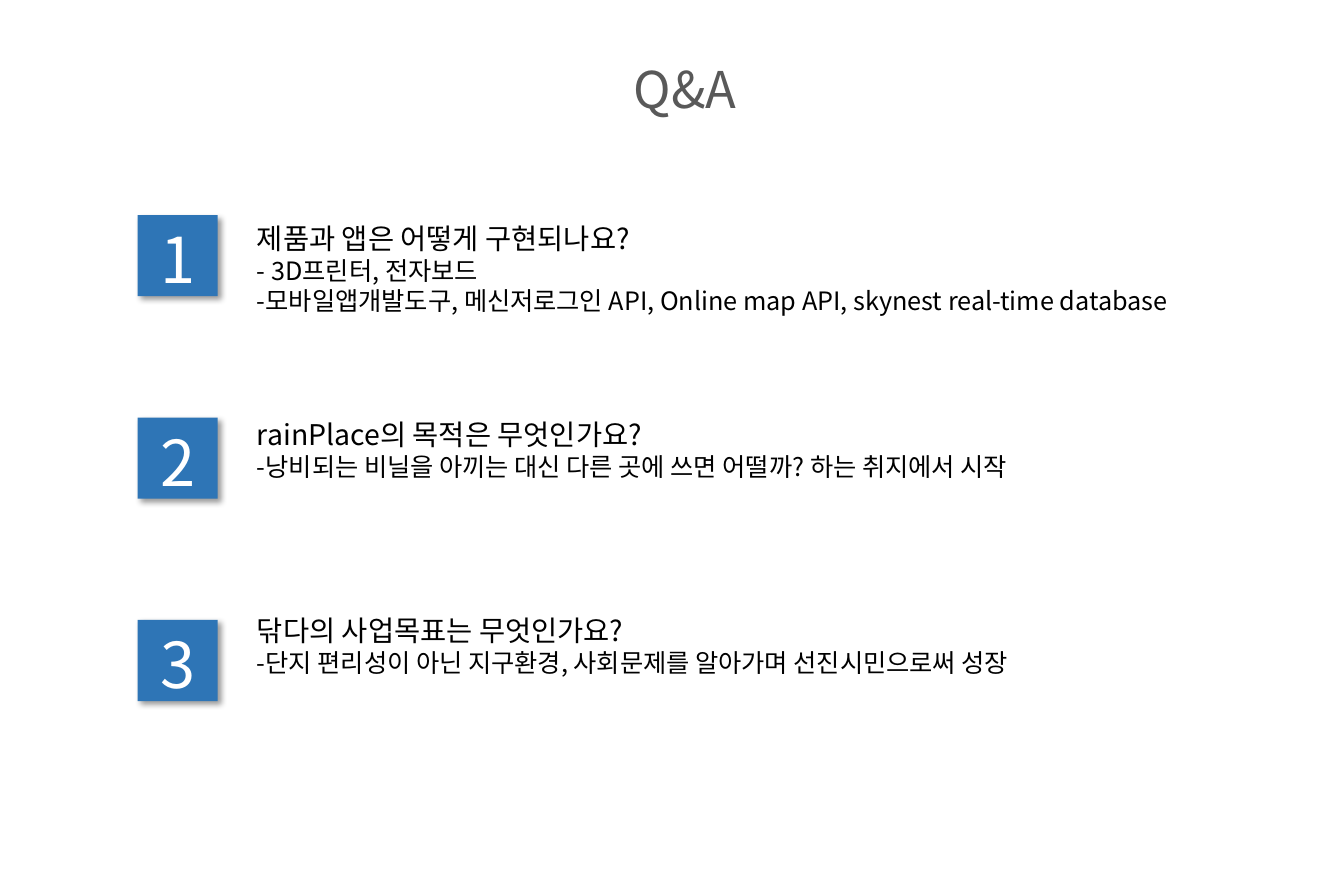
import pptx
import pptx.dml.color
import pptx.enum.shapes
import pptx.enum.text
import pptx.oxml.ns
import pptx.util
import lxml.etree

FONT = "Noto Sans CJK KR"
SLIDE_WIDTH, SLIDE_HEIGHT = 850.4, 566.9
BADGE_LEFT, BADGE_TOP, BADGE_PITCH = 87.1, 136.1, 128.1
ANSWER_LEFT, ANSWER_TOP, ANSWER_PITCH = 155.5, 136.1, 124.2

QUESTIONS = [
    ("제품과 앱은 어떻게 구현되나요?",
     ["- 3D프린터, 전자보드",
      "-모바일앱개발도구, 메신저로그인 API, Online map API, real-time database"]),
    ("rainPlace의 목적은 무엇인가요?",
     ["-낭비되는 비닐을 아끼는 대신 다른 곳에 쓰면 어떨까? 하는 취지에서 시작"]),
    ("닦다의 사업목표는 무엇인가요?",
     ["-단지 편리성이 아닌 지구환경, 사회문제를 알아가며 선진시민으로써 성장"]),
]
QUESTIONS[0][1][1] = "-모바일앱개발도구, 메신저로그인 API, Online map API, skynest real-time database"


def color(value):
    return pptx.dml.color.RGBColor.from_string(value)


def add_child(parent, tag, **attributes):
    return lxml.etree.SubElement(parent, pptx.oxml.ns.qn(tag), attributes)


def box_in_points(*box):
    return [pptx.util.Pt(length) for length in box]


def style_paragraph(paragraph, text, size, text_color, alignment):
    paragraph.text = text
    paragraph.alignment = alignment
    paragraph.font.name = FONT
    paragraph.font.size = pptx.util.Pt(size)
    paragraph.font.color.rgb = color(text_color)
    defaults = paragraph._p.pPr.find(pptx.oxml.ns.qn("a:defRPr"))
    add_child(defaults, "a:ea", typeface=FONT)


def add_shadow(shape):
    shape.shadow.inherit = False
    effects = shape._element.spPr.find(pptx.oxml.ns.qn("a:effectLst"))
    shadow = add_child(effects, "a:outerShdw", blurRad="50800", dist="38100",
                       dir="2700000", algn="tl", rotWithShape="0")
    shade = add_child(shadow, "a:srgbClr", val="000000")
    add_child(shade, "a:alpha", val="40000")


def add_title(slide, left, top, width, height):
    text_box = slide.shapes.add_textbox(*box_in_points(left, top, width, height))
    text_box.text_frame.word_wrap = False
    style_paragraph(text_box.text_frame.paragraphs[0], "Q&A", 32, "595959",
                    pptx.enum.text.PP_ALIGN.CENTER)


def add_badge(slide, number, left, top, width, height):
    badge = slide.shapes.add_shape(pptx.enum.shapes.MSO_SHAPE.RECTANGLE,
                                   *box_in_points(left, top, width, height))
    badge.fill.solid()
    badge.fill.fore_color.rgb = color("2E75B6")
    badge.line.fill.background()
    add_shadow(badge)
    frame = badge.text_frame
    frame.word_wrap = False
    frame.vertical_anchor = pptx.enum.text.MSO_ANCHOR.TOP
    frame.margin_bottom = 0
    style_paragraph(frame.paragraphs[0], str(number), 40, "FFFFFF",
                    pptx.enum.text.PP_ALIGN.CENTER)


def add_answer(slide, question, answers, left, top, width, height):
    text_box = slide.shapes.add_textbox(*box_in_points(left, top, width, height))
    frame = text_box.text_frame
    frame.word_wrap = True
    left_aligned = pptx.enum.text.PP_ALIGN.LEFT
    style_paragraph(frame.paragraphs[0], question, 18, "000000", left_aligned)
    for answer in answers:
        style_paragraph(frame.add_paragraph(), answer, 16, "000000", left_aligned)


def main():
    presentation = pptx.Presentation()
    presentation.slide_width = pptx.util.Pt(SLIDE_WIDTH)
    presentation.slide_height = pptx.util.Pt(SLIDE_HEIGHT)
    slide = presentation.slides.add_slide(presentation.slide_layouts[6])
    add_title(slide, 391.7, 33.1, 83.5, 46.1)
    for index, (question, answers) in enumerate(QUESTIONS):
        add_badge(slide, index + 1, BADGE_LEFT, BADGE_TOP + index * BADGE_PITCH, 50.6, 51.3)
        add_answer(slide, question, answers, ANSWER_LEFT,
                   ANSWER_TOP + index * ANSWER_PITCH, 680, 28.5 + 19.5 * len(answers))
    presentation.save("out.pptx")


if __name__ == "__main__":
    main()
